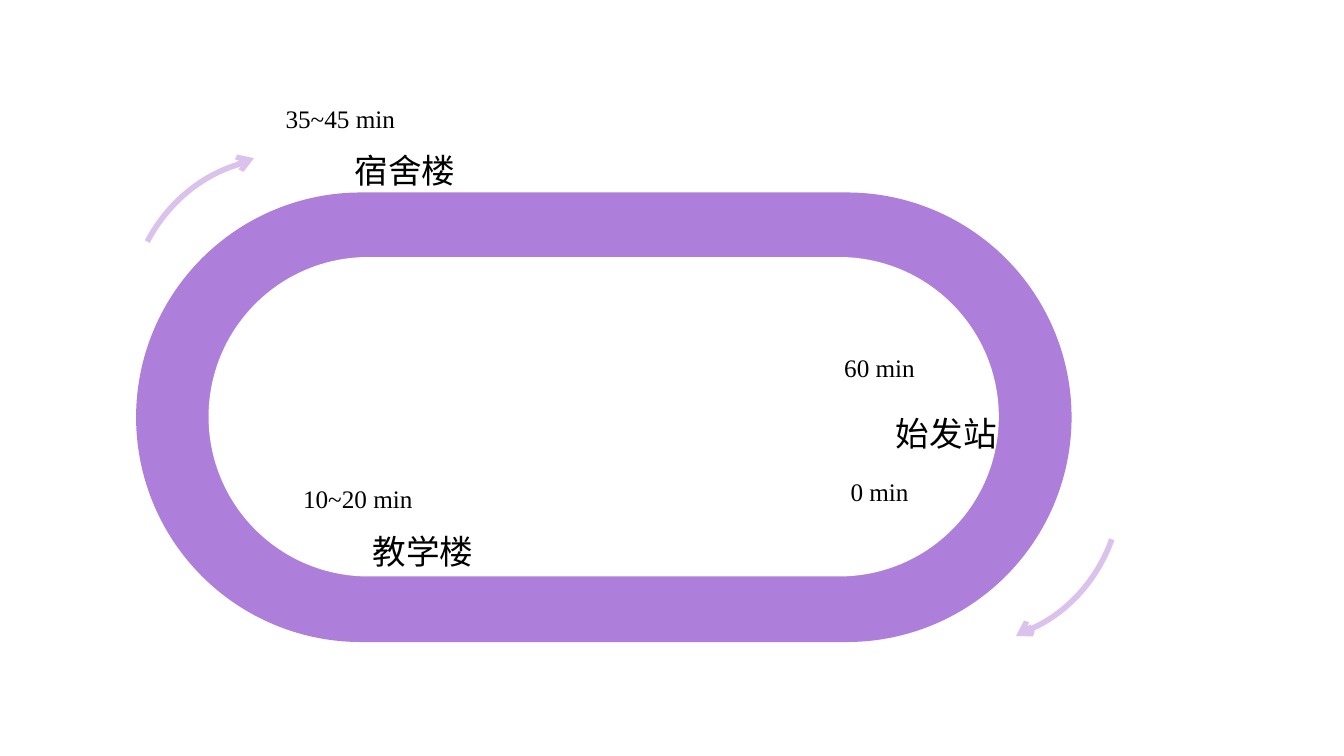
"""Build a slide showing a campus shuttle loop with its stops and times."""
from dataclasses import dataclass

from lxml import etree
from pptx import Presentation
from pptx.dml.color import RGBColor
from pptx.enum.shapes import MSO_CONNECTOR, MSO_SHAPE
from pptx.enum.text import PP_ALIGN
from pptx.oxml.ns import qn
from pptx.util import Pt

ROUNDED = MSO_SHAPE.ROUNDED_RECTANGLE
ARC = MSO_SHAPE.ARC
STRAIGHT = MSO_CONNECTOR.STRAIGHT
LEFT = PP_ALIGN.LEFT
CENTER = PP_ALIGN.CENTER
BLANK_LAYOUT = 6


@dataclass(frozen=True)
class Theme:
    """Colours, fonts and sizes used on the slide."""
    road: RGBColor = RGBColor(0xAE, 0x7F, 0xDA)
    infield: RGBColor = RGBColor(0xFF, 0xFF, 0xFF)
    direction: RGBColor = RGBColor(0xDA, 0xC2, 0xED)
    ink: RGBColor = RGBColor(0, 0, 0)
    stop_font: str = "Noto Sans CJK JP"
    time_font: str = "Times New Roman"
    stop_size: int = 24
    time_size: int = 18
    arc_width: float = 4
    tip_width: float = 3.75


THEME = Theme()


def add_text(slide, text, left, top, width, height, *, font, size, align=LEFT, inset=0):
    """Add one line of text in a box."""
    frame = slide.shapes.add_textbox(Pt(left), Pt(top), Pt(width), Pt(height)).text_frame
    frame.word_wrap = True
    frame.margin_left = frame.margin_right = Pt(inset)
    paragraph = frame.paragraphs[0]
    paragraph.alignment = align
    run = paragraph.add_run()
    run.text = text
    run.font.name = font
    run.font.size = Pt(size)
    run.font.color.rgb = THEME.ink
    etree.SubElement(run.font._element, qn("a:ea"), typeface=font)


def add_oval(slide, left, top, width, height, color):
    """Add a stadium outline filled with one colour."""
    oval = slide.shapes.add_shape(ROUNDED, Pt(left), Pt(top), Pt(width), Pt(height))
    oval.shadow.inherit = False
    oval.adjustments[0] = 0.5
    oval.fill.solid()
    oval.fill.fore_color.rgb = color
    oval.line.fill.background()


def add_direction(slide, left, top, rotation, tip_start, tip_end):
    """Add a grouped curved arrow showing the travel direction."""
    group = slide.shapes.add_group_shape()
    curve = group.shapes.add_shape(ARC, Pt(left), Pt(top), Pt(207.4), Pt(182.9))
    curve.shadow.inherit = False
    curve.adjustments[0] = 160.985
    curve.adjustments[1] = 194.313
    curve.rotation = rotation
    curve.fill.background()
    curve.line.color.rgb = THEME.direction
    curve.line.width = Pt(THEME.arc_width)

    ends = [Pt(value) for value in (*tip_start, *tip_end)]
    tip = group.shapes.add_connector(STRAIGHT, *ends)
    tip.line.color.rgb = THEME.direction
    tip.line.width = Pt(THEME.tip_width)
    etree.SubElement(tip.line._get_or_add_ln(), qn("a:tailEnd"), type="arrow")
    etree.SubElement(tip._element.spPr, qn("a:effectLst"))


def main():
    """Build and save the slide."""
    presentation = Presentation()
    presentation.slide_width = Pt(960)
    presentation.slide_height = Pt(540)
    slide = presentation.slides.add_slide(presentation.slide_layouts[BLANK_LAYOUT])

    add_oval(slide, 97.2, 137.5, 668.2, 321.1, THEME.road)
    add_oval(slide, 149, 183.6, 564.5, 228.2, THEME.infield)

    add_direction(slide, 604.1, 263.5, 111, (733, 450), (725.8, 454.3))
    add_direction(slide, 82.8, 123.1, 299, (173.5, 115.9), (181.4, 113))

    stops = [("教学楼", 259.2, 375.8), ("宿舍楼", 246.2, 103.7), ("始发站", 632.9, 291.6)]
    for name, left, top in stops:
        add_text(slide, name, left, top, 92.9, 36, font=THEME.stop_font,
                 size=THEME.stop_size, inset=7.2)

    times = [("0 min", 581.8, 337, 92.9), ("10~20 min", 193.7, 342, 123.8),
             ("35~45 min", 196.6, 70.6, 92.9), ("60 min", 581.8, 248.4, 92.9)]
    for time, left, top, width in times:
        add_text(slide, time, left, top, width, 28.8, font=THEME.time_font,
                 size=THEME.time_size, align=CENTER)

    presentation.save("out.pptx")


if __name__ == "__main__":
    main()
